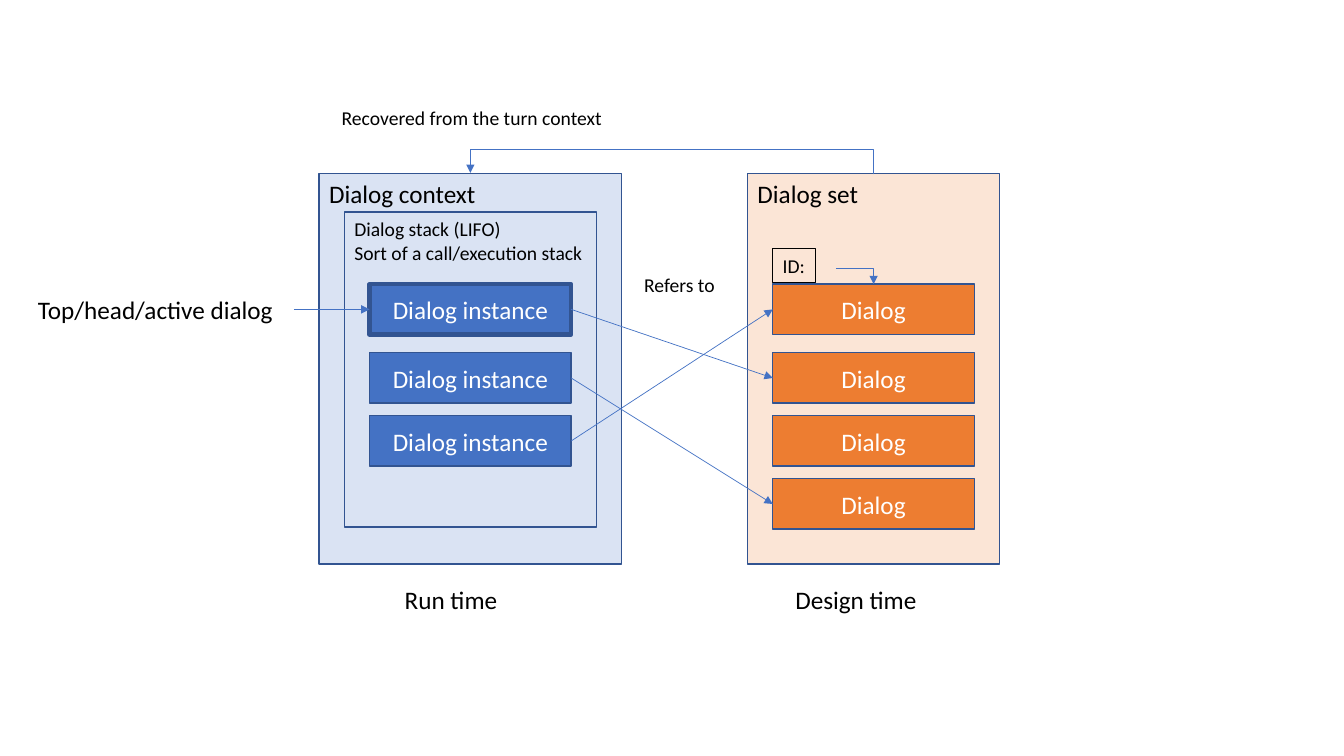
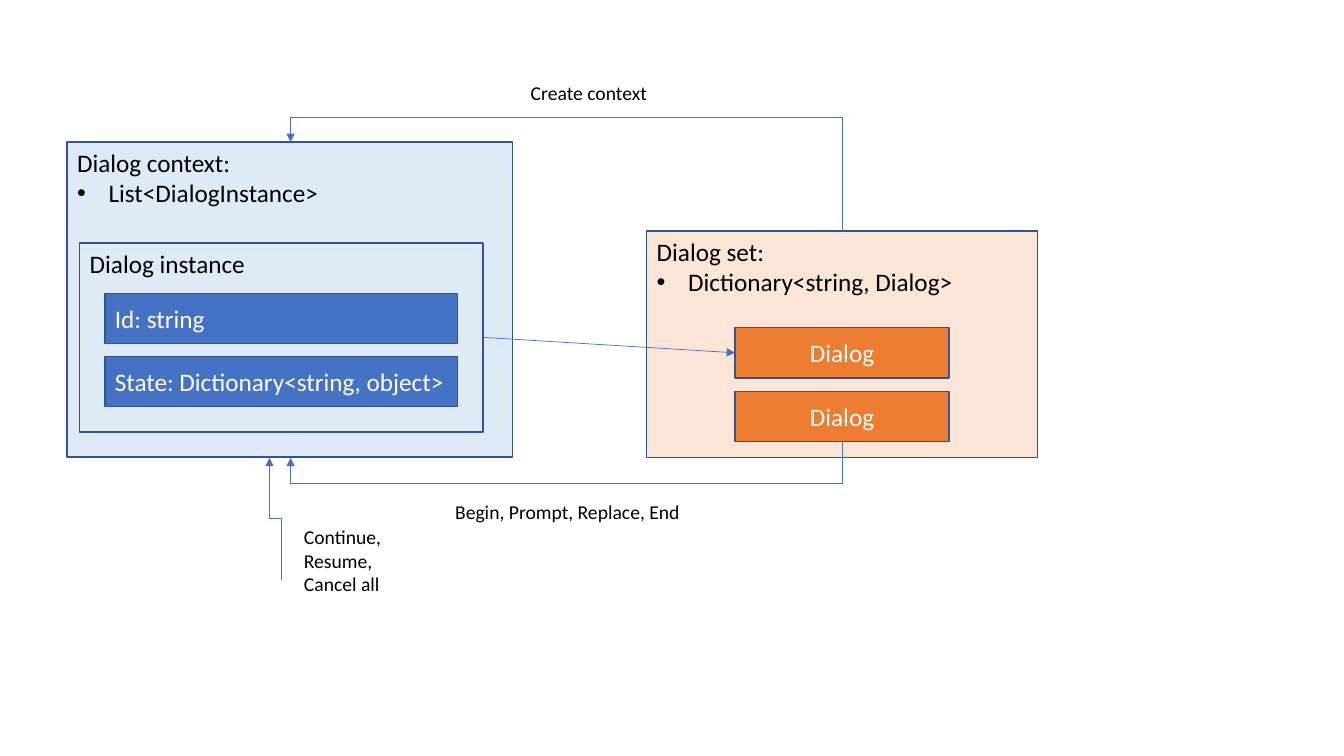
import pptx
import pptx.util
import pptx.dml.color
import pptx.enum.shapes
import pptx.enum.text
import pptx.oxml
import pptx.oxml.ns
from lxml import etree

Pt = pptx.util.Pt
qn = pptx.oxml.ns.qn
ANCHOR = pptx.enum.text.MSO_ANCHOR
ALIGN = pptx.enum.text.PP_ALIGN
CONNECTOR = pptx.enum.shapes.MSO_CONNECTOR
LEFT_SITE, RIGHT_SITE = 1, 3


def rgb(value):
    return pptx.dml.color.RGBColor.from_string(value)


def write(shape, text, size=18, color="000000", font="Calibri",
          align=ALIGN.LEFT, anchor=ANCHOR.TOP, wrap=True, grow=False, bullet=None):
    """Write one paragraph per line of text, then an optional bullet."""
    tf = shape.text_frame
    tf.word_wrap = wrap
    tf.vertical_anchor = anchor
    if grow:
        tf.auto_size = pptx.enum.text.MSO_AUTO_SIZE.SHAPE_TO_FIT_TEXT
    lines = text.split("\n") + ([bullet] if bullet else [])
    for i, line in enumerate(lines):
        p = tf.paragraphs[0] if i == 0 else tf.add_paragraph()
        p.alignment = align
        r = p.add_run()
        r.text = line
        r.font.size = Pt(size)
        r.font.name = font
        r.font.color.rgb = rgb(color)
    if bullet:
        pPr = p._p.get_or_add_pPr()
        pPr.set("marL", str(Pt(22.5)))
        pPr.set("indent", str(-Pt(22.5)))
        etree.SubElement(pPr, qn("a:buFont")).set("typeface", "Arial")
        etree.SubElement(pPr, qn("a:buChar")).set("char", "•")


class Diagram:
    BLUE, ORANGE, PEACH = "4472C4", "ED7D31", "FBE5D6"
    OUTLINE, WHITE, BLACK = "325491", "FFFFFF", "000000"

    def __init__(self):
        self.prs = pptx.Presentation()
        self.prs.slide_width, self.prs.slide_height = Pt(960), Pt(540)
        self.s = None

    def new_slide(self):
        self.s = self.prs.slides.add_slide(self.prs.slide_layouts[6])

    def panel(self, x, y, w, h, text, fill, line=1, **fmt):
        sp = self.s.shapes.add_shape(pptx.enum.shapes.MSO_SHAPE.RECTANGLE,
                                     Pt(x), Pt(y), Pt(w), Pt(h))
        sp.shadow.inherit = False
        sp.fill.solid()
        sp.fill.fore_color.rgb = rgb(fill)
        sp.line.color.rgb = rgb(self.OUTLINE)
        sp.line.width = Pt(line)
        write(sp, text, **fmt)
        return sp

    def box(self, x, y, w, text, fill, line=1, align=ALIGN.CENTER):
        return self.panel(x, y, w, 36, text, fill, line, color=self.WHITE,
                          align=align, anchor=ANCHOR.MIDDLE)

    def label(self, x, y, w, h, text, size=14, wrap=False):
        sp = self.s.shapes.add_textbox(Pt(x), Pt(y), Pt(w), Pt(h))
        write(sp, text, size=size, wrap=wrap, grow=True)
        return sp

    def arrow(self, x1, y1, x2, y2, kind=CONNECTOR.STRAIGHT):
        c = self.s.shapes.add_connector(kind, Pt(x1), Pt(y1), Pt(x2), Pt(y2))
        c.line.color.rgb = rgb(self.BLUE)
        c.line.width = Pt(0.5)
        etree.SubElement(c.line._get_or_add_ln(), qn("a:tailEnd")).set("type", "triangle")
        etree.SubElement(c._element.spPr, qn("a:effectLst"))
        return c

    def link(self, source, target):
        c = self.arrow(0, 0, 1, 1)
        c.begin_connect(source, RIGHT_SITE)
        c.end_connect(target, LEFT_SITE)

    def corner(self, x1, y1, x2, y2):
        """Run across, then down."""
        c = self.arrow(x1, y1, x2, y2, CONNECTOR.ELBOW)
        c._element.spPr.find(qn("a:prstGeom")).set("prst", "bentConnector2")

    def elbow(self, x1, y1, x2, y2, mid):
        """Run vertically to the height mid, left to x2, then vertically to y2."""
        w, h = abs(y2 - y1), x1 - x2
        x, y = (x1 + x2 - w) / 2, (y1 + y2 - h) / 2
        c = self.arrow(x, y, x + w, y + h, CONNECTOR.ELBOW)
        spPr = c._element.spPr
        xfrm = spPr.find(qn("a:xfrm"))
        down = y2 > y1
        xfrm.set("rot", str((90 if down else 270) * 60000))
        if not down:
            xfrm.set("flipV", "1")
        geom = spPr.find(qn("a:prstGeom"))
        av = geom.find(qn("a:avLst"))
        if av is None:
            av = etree.SubElement(geom, qn("a:avLst"))
        ratio = round((mid - y1) / (y2 - y1) * 100000)
        etree.SubElement(av, qn("a:gd"), name="adj1", fmla=f"val {ratio}")


d = Diagram()

# Slide 1: run time and design time
d.new_slide()
CONTEXT = "DAE3F3"
rows = [203, 252, 297, 342]

# Run time side
d.panel(228, 124, 216, 279, "Dialog context", CONTEXT)
d.panel(246, 151.5, 180, 225, "Dialog stack (LIFO)\nSort of a call/execution stack",
        CONTEXT, size=14)
instances = [d.box(264, y, 144, "Dialog instance", d.BLUE, line=3 if i == 0 else 1)
             for i, y in enumerate(rows[:3])]
d.label(20, 206.5, 189.5, 29, "Top/head/active dialog", size=18, wrap=True)
d.arrow(210, 221, 264, 221)

# Design time side
d.panel(534, 124, 180, 279, "Dialog set", d.PEACH)
dialogs = [d.box(552, y, 144, "Dialog", d.ORANGE) for y in rows]
id_label = d.label(552, 177.5, 30.5, 24.5, "ID:")
id_label.line.color.rgb = rgb(d.BLACK)
id_label.line.width = Pt(0.75)
d.corner(597, 191.5, 624, 203)

# References between the sides
for instance, dialog in zip(instances, (1, 3, 0)):
    d.link(instance, dialogs[dialog])
d.elbow(624, 124.5, 336, 123.5, mid=106.5)

# Captions
d.label(282, 414, 81.5, 29, "Run time", size=18)
d.label(561, 414, 102, 29, "Design time", size=18)
d.label(237, 72, 202, 24.5, "Recovered from the turn context")
d.label(453, 191.5, 65.5, 24.5, "Refers to")

# Slide 2: types and operations
d.new_slide()
CONTEXT = "DEEBF7"

# Dialog context
d.panel(48, 101.5, 318, 225, "Dialog context:", CONTEXT, bullet="List<DialogInstance>")
instance = d.panel(57, 173.5, 288, 135, "Dialog instance", CONTEXT)
for i, field in enumerate(("Id: string", "State: Dictionary<string, object>")):
    d.box(75, 209.5 + 45 * i, 252, field, d.BLUE, align=ALIGN.LEFT)

# Dialog set
d.panel(462, 165, 279, 162, "Dialog set:", d.PEACH, bullet="Dictionary<string, Dialog>")
dialogs = [d.box(525, 234 + 45.5 * i, 153, "Dialog", d.ORANGE) for i in range(2)]

# Operations
d.link(instance, dialogs[0])
d.elbow(601.5, 315, 207.5, 327, mid=345)
d.elbow(601.5, 165, 207.5, 101.5, mid=83.5)
d.elbow(201, 414, 192.5, 327, mid=370.5)
d.label(318, 353.5, 183.5, 24.5, "Begin, Prompt, Replace, End")
d.label(372, 54, 98.5, 24.5, "Create context")
d.label(210, 371.5, 70.5, 58.5, "Continue,\nResume,\nCancel all")

d.prs.save("out.pptx")
